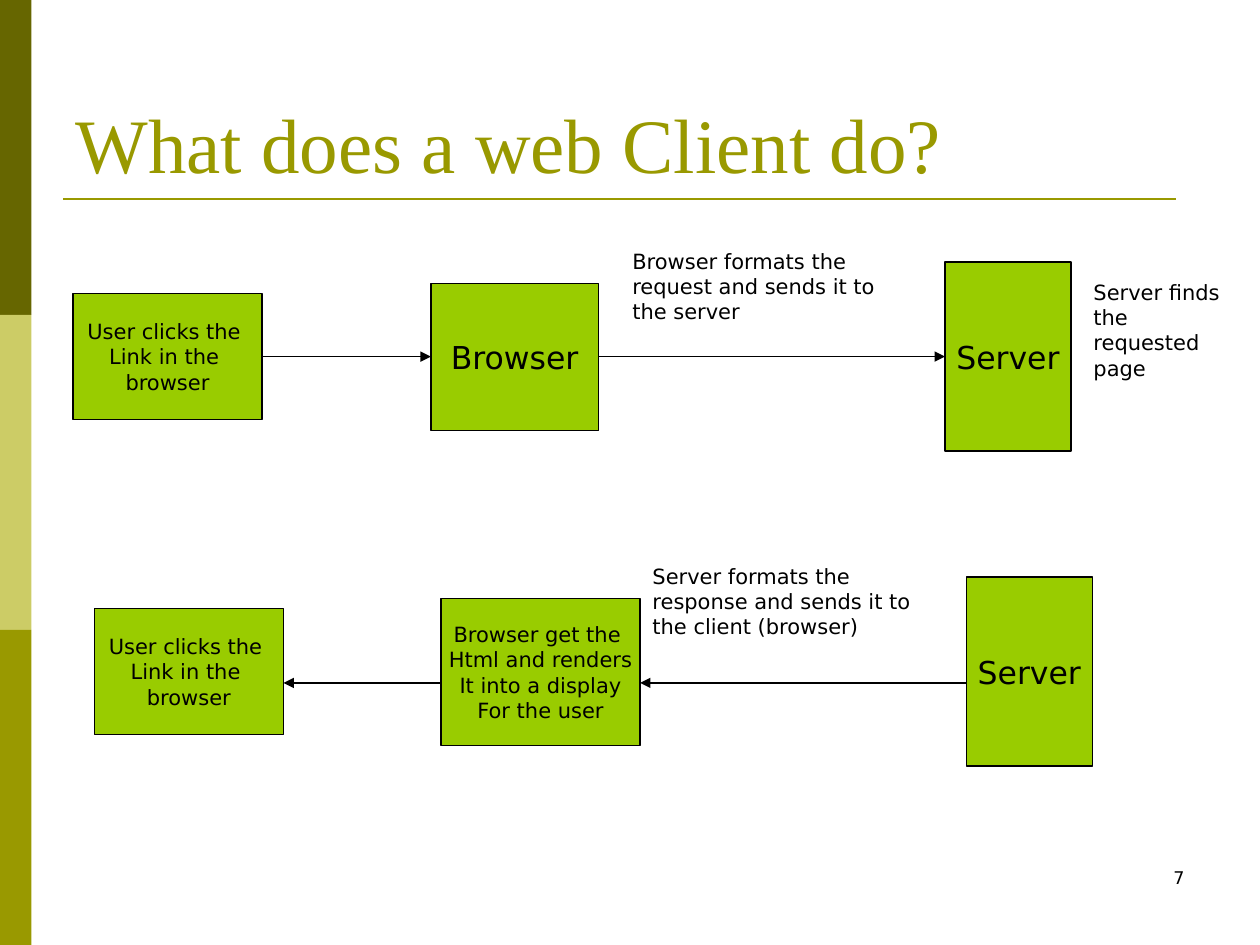
from lxml.etree import SubElement
from pptx import Presentation
from pptx.dml.color import RGBColor
from pptx.enum.shapes import MSO_CONNECTOR as Connector, MSO_SHAPE as Shape
from pptx.enum.text import MSO_ANCHOR as Anchor, MSO_AUTO_SIZE as AutoSize, PP_ALIGN as Align
from pptx.oxml.ns import qn
from pptx.util import Inches, Pt

TITLE_FONT, BODY_FONT = "Times New Roman", "DejaVu Sans"
OLIVE, GREEN, BLACK = "999900", "99CC00", "000000"


def color(value):
    return RGBColor.from_string(value)


def inches(*lengths):
    return [Inches(length) for length in lengths]


class FlowSlide:
    """Holds the flow diagram's style and the slide being drawn."""

    def __init__(self, deck):
        self.page = deck.slides.add_slide(deck.slide_layouts[5])
        self.shapes = self.page.shapes

    def set_text(self, shape, lines, size, font=BODY_FONT, ink=BLACK,
                 align=Align.LEFT, **frame_format):
        frame = shape.text_frame
        for name, value in frame_format.items():
            setattr(frame, name, value)
        frame.text = "\n".join(lines)
        for para in frame.paragraphs:
            para.alignment = align
            for name, value in {"name": font, "size": Pt(size), "bold": False}.items():
                setattr(para.font, name, value)
            para.font.color.rgb = color(ink)

    def title(self, text):
        title = self.shapes.title
        title.left, title.top, title.width, title.height = inches(0.5, 0.3, 9, 1.25)
        self.set_text(title, [text], 44, TITLE_FONT, OLIVE, word_wrap=True,
                      auto_size=AutoSize.NONE, vertical_anchor=Anchor.BOTTOM)

    def block(self, left, top, width, height, fill):
        block = self.shapes.add_shape(Shape.RECTANGLE, *inches(left, top, width, height))
        block.shadow.inherit = False
        block.fill.solid()
        block.fill.fore_color.rgb = color(fill)
        block.line.fill.background()
        return block

    def step(self, left, top, width, height, lines, size=12):
        step = self.block(left, top, width, height, GREEN)
        step.line.color.rgb = color(BLACK)
        step.line.width = Pt(0.75)
        self.set_text(step, lines, size, align=Align.CENTER, word_wrap=False,
                      vertical_anchor=Anchor.MIDDLE)

    def note(self, left, top, width, height, text, size=12, align=Align.LEFT,
             auto_size=AutoSize.SHAPE_TO_FIT_TEXT):
        box = self.shapes.add_textbox(*inches(left, top, width, height))
        self.set_text(box, [text], size, align=align, word_wrap=True, auto_size=auto_size)

    def rule(self, start, end, y, ink=BLACK, width=0.75):
        rule = self.shapes.add_connector(Connector.STRAIGHT, *inches(start, y, end, y))
        rule.line.color.rgb = color(ink)
        rule.line.width = Pt(width)
        SubElement(rule.element.spPr, qn("a:effectLst"))
        return rule

    def arrow(self, start, end, y):
        outline = self.rule(start, end, y).element.spPr.find(qn("a:ln"))
        SubElement(outline, qn("a:tailEnd"), type="triangle")


def main():
    deck = Presentation()
    deck.slide_width, deck.slide_height = inches(10, 7.5)
    slide = FlowSlide(deck)

    for row, fill in enumerate(("666600", "CCCC66", OLIVE)):
        slide.block(0, 2.5 * row, 0.25, 2.5, fill)
    slide.rule(0.5, 9.33, 1.58, OLIVE, 1.5)
    slide.title("What does a web Client do?")

    # Request row above, response row below
    for user_left, user_top, server_left in ((0.58, 2.33, 7.5), (0.75, 4.83, 7.67)):
        slide.step(user_left, user_top, 1.5, 1,
                   ["User clicks the ", "Link in the ", "browser"])
        slide.step(server_left, user_top - 0.25, 1, 1.5, ["Server"], 18)
    slide.step(3.42, 2.25, 1.33, 1.17, ["Browser"], 18)
    slide.step(3.5, 4.75, 1.58, 1.17,
               ["Browser get the ", "Html and renders", "It into a display", "For the user"])

    for start, end, y in ((2.08, 3.42, 2.83), (4.75, 7.5, 2.83),
                          (7.67, 5.08, 5.42), (3.5, 2.25, 5.42)):
        slide.arrow(start, end, y)

    slide.note(4.92, 1.92, 2.42, 0.7, "Browser formats the request and sends it to the server")
    slide.note(8.58, 2.17, 1.25, 0.9, "Server finds the requested page")
    slide.note(5.08, 4.42, 2.42, 0.7,
               "Server formats the response and sends it to the client (browser)")
    slide.note(7.17, 6.83, 2.33, 0.5, "7", 10, Align.RIGHT, AutoSize.NONE)

    deck.save("out.pptx")


if __name__ == "__main__":
    main()
